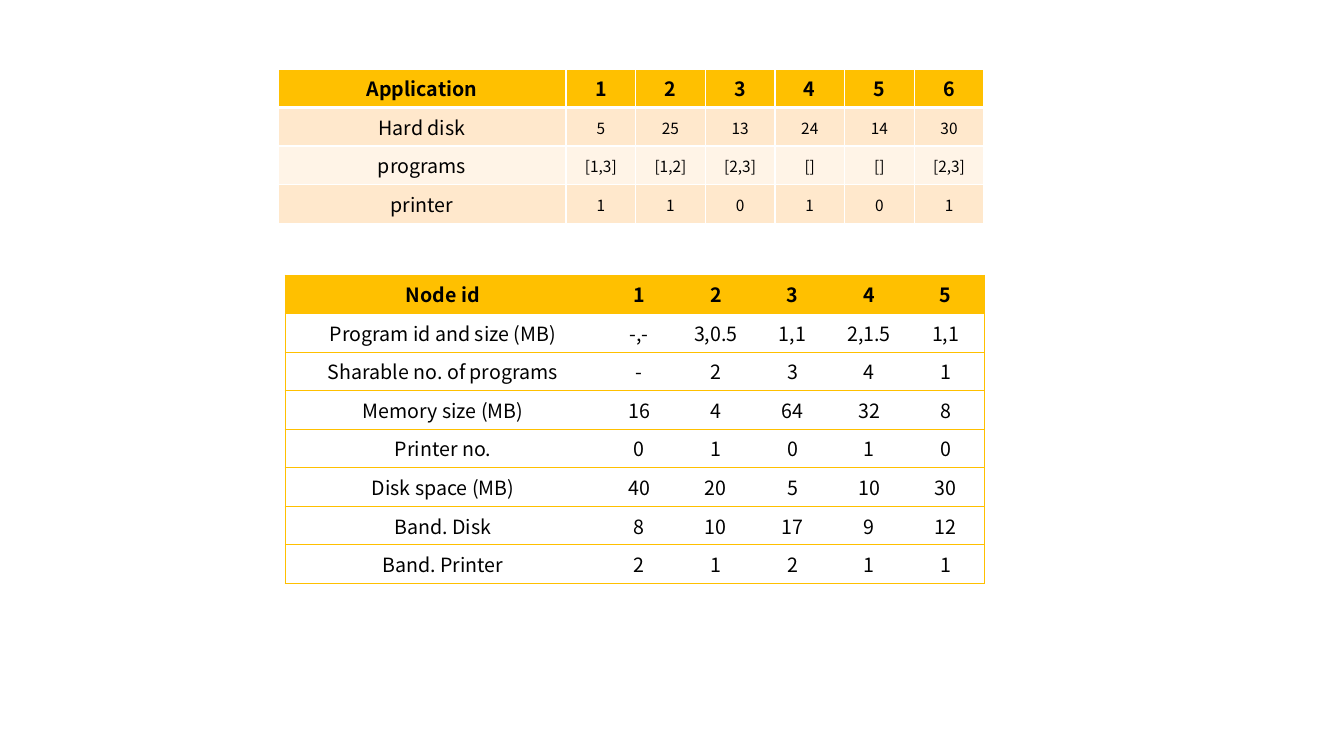
"""Build a slide with an application table above a node table."""
from lxml import etree
from pptx import Presentation
from pptx import util as u
from pptx.dml.color import RGBColor
from pptx.enum import text
from pptx.oxml.ns import qn

FONT = "Noto Sans CJK JP"
GOLD, PEACH, CREAM, WHITE, BLACK = "FFC000", "FFE8CC", "FFF4E7", "FFFFFF", "000000"
PX = 914400 / 100.8
ROOMY, TIGHT = (10, 5, 10, 5), (1, 1, 1, 0)

APPLICATIONS = [
    ("Application", "1", "2", "3", "4", "5", "6"),
    ("Hard disk", "5", "25", "13", "24", "14", "30"),
    ("programs", "[1,3]", "[1,2]", "[2,3]", "[]", "[]", "[2,3]"),
    ("printer", "1", "1", "0", "1", "0", "1"),
]
NODES = [
    ("Node id", "1", "2", "3", "4", "5"),
    ("Program id and size (MB)", "-,-", "3,0.5", "1,1", "2,1.5", "1,1"),
    ("Sharable no. of programs", "-", "2", "3", "4", "1"),
    ("Memory size (MB)", "16", "4", "64", "32", "8"),
    ("Printer no.", "0", "1", "0", "1", "0"),
    ("Disk space (MB)", "40", "20", "5", "10", "30"),
    ("Band. Disk", "8", "10", "17", "9", "12"),
    ("Band. Printer", "2", "1", "2", "1", "1"),
]


def px(length):
    return u.Emu(round(length * PX))


def color(hex_string):
    return RGBColor.from_string(hex_string)


def set_borders(cell, borders):
    properties = cell._tc.get_or_add_tcPr()
    for side in "LRTB":
        line = etree.SubElement(properties, qn(f"a:ln{side}"))
        if side in borders:
            hex_string, points = borders[side]
            line.set("w", str(u.Pt(points)))
            solid = etree.SubElement(line, qn("a:solidFill"))
            etree.SubElement(solid, qn("a:srgbClr"), val=hex_string)
        else:
            etree.SubElement(line, qn("a:noFill"))


def application_style(row, column, last_column):
    borders = {side: (WHITE, 1) for side in "LRTB"}
    if row < 2:
        borders["T" if row else "B"] = (WHITE, 3)
    small = row > 0 and column > 0
    fill = GOLD if row == 0 else (CREAM, PEACH)[row % 2]
    return fill, borders, 11 if small else 14, TIGHT if small else ROOMY


def node_style(row, column, last_column):
    sides = "TB" + "L" * (column == 0) + "R" * (column == last_column)
    borders = {side: (GOLD, 0.5) for side in sides}
    return None if row else GOLD, borders, 14, ROOMY


def add_grid(page, rows, left, top, width, first_width, row_height, anchor, style):
    columns = len(rows[0])
    frame = page.shapes.add_table(len(rows), columns, px(left), px(top),
                                  px(width), px(row_height * len(rows)))
    table = frame.table
    table.first_row = table.horz_banding = False
    for index, column in enumerate(table.columns):
        column.width = px((width - first_width) / (columns - 1) if index else first_width)
    for r, values in enumerate(rows):
        table.rows[r].height = px(row_height)
        for c, value in enumerate(values):
            cell = table.cell(r, c)
            fill, borders, size, margins = style(r, c, columns - 1)
            set_borders(cell, borders)
            if fill:
                cell.fill.solid()
                cell.fill.fore_color.rgb = color(fill)
            else:
                cell.fill.background()
            cell.vertical_anchor = anchor
            (cell.margin_left, cell.margin_top,
             cell.margin_right, cell.margin_bottom) = map(px, margins)
            para = cell.text_frame.paragraphs[0]
            para.alignment = text.PP_ALIGN.CENTER
            span = para.add_run()
            span.text = value
            span.font.name = FONT
            span.font.size = u.Pt(size)
            span.font.bold = r == 0
            span.font.color.rgb = color(BLACK)


def main():
    deck = Presentation()
    deck.slide_width, deck.slide_height = px(1344), px(756)
    page = deck.slides.add_slide(deck.slide_layouts[6])
    add_grid(page, APPLICATIONS, 278, 69, 706, 288, 36,
             text.MSO_ANCHOR.MIDDLE, application_style)
    add_grid(page, NODES, 285, 275, 699, 316, 37,
             text.MSO_ANCHOR.TOP, node_style)
    deck.save("out.pptx")


if __name__ == "__main__":
    main()
